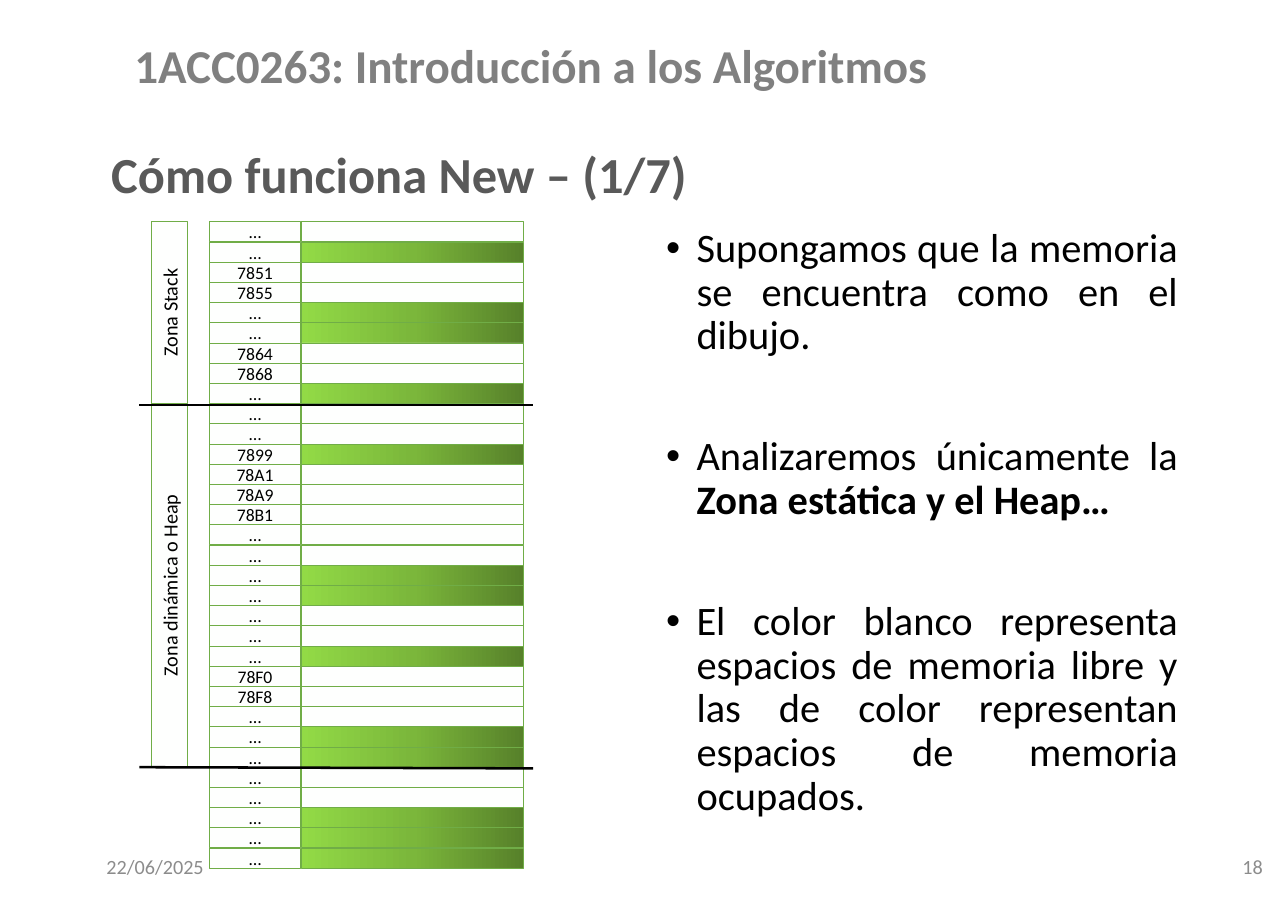
from copy import deepcopy

from pptx import Presentation
from pptx.dml.color import RGBColor
from pptx.enum.shapes import MSO_CONNECTOR, MSO_SHAPE
from pptx.enum.text import MSO_ANCHOR, PP_ALIGN
from pptx.oxml.ns import qn
from pptx.oxml.xmlchemy import OxmlElement
from pptx.util import Inches, Pt

RECTANGLE = MSO_SHAPE.RECTANGLE
STRAIGHT = MSO_CONNECTOR.STRAIGHT
TOP, MIDDLE = MSO_ANCHOR.TOP, MSO_ANCHOR.MIDDLE
LEFT, CENTER, RIGHT, JUSTIFY = (
    PP_ALIGN.LEFT, PP_ALIGN.CENTER, PP_ALIGN.RIGHT, PP_ALIGN.JUSTIFY)

FONT = "Calibri"
BLACK = RGBColor(0x00, 0x00, 0x00)
FREE = RGBColor(0xFE, 0xFF, 0xFE)
BORDER = RGBColor(0x70, 0xAD, 0x47)
HEADER_GRAY = RGBColor(0x80, 0x80, 0x80)
TITLE_GRAY = RGBColor(0x59, 0x59, 0x59)
FOOTER_GRAY = RGBColor(0x8C, 0x8C, 0x8C)
USED_STOPS = [
    (0, RGBColor(0x57, 0x81, 0x2A)),
    (0.5, RGBColor(0x7B, 0xB7, 0x3B)),
    (1, RGBColor(0x92, 0xDA, 0x46)),
]

# Memory map: 32 rows, six to the inch
MAP_TOP = 1.83
ROW_HEIGHT = 1 / 6
ROW_COUNT = 32
ADDRESSES = {2: "7851", 3: "7855", 6: "7864", 7: "7868", 11: "7899",
             12: "78A1", 13: "78A9", 14: "78B1", 22: "78F0", 23: "78F8"}
USED_ROWS = {1, 4, 5, 8, 11, 17, 18, 21, 25, 26, 29, 30, 31}
ZONES = [("Zona Stack", 0, 9), ("Zona dinámica o Heap", 9, 18)]
DIVIDERS = [(3.34, 3.34), (6.33, 6.34)]

# Each point is a list of (text, bold) spans
POINTS = [
    [("Supongamos que la memoria se encuentra como en el dibujo.", False)],
    [("Analizaremos únicamente la ", False),
     ("Zona estática y el Heap…", True)],
    [("El color blanco representa espacios de memoria libre y las de color "
      "representan espacios de memoria ocupados.", False)],
]


def style_span(span, size, color, bold=False):
    span.font.name = FONT
    span.font.size = Pt(size)
    span.font.color.rgb = color
    span.font.bold = bold


def add_text(page, text, left, top, width, height, size, color,
             align=LEFT, anchor=MIDDLE, bold=False):
    box = page.shapes.add_textbox(
        Inches(left), Inches(top), Inches(width), Inches(height))
    frame = box.text_frame
    frame.word_wrap = True
    frame.vertical_anchor = anchor
    frame.text = text
    para = frame.paragraphs[0]
    para.alignment = align
    style_span(para.runs[0], size, color, bold)
    return para


def add_cell(page, left, top, width, height, text="", size=10.5):
    cell = page.shapes.add_shape(
        RECTANGLE, Inches(left), Inches(top), Inches(width), Inches(height))
    cell.shadow.inherit = False
    cell.fill.solid()
    cell.fill.fore_color.rgb = FREE
    cell.line.color.rgb = BORDER
    cell.line.width = Pt(0.5)
    if text:
        frame = cell.text_frame
        frame.margin_left = frame.margin_right = 0
        frame.margin_top = frame.margin_bottom = 0
        frame.vertical_anchor = MIDDLE
        frame.text = text
        para = frame.paragraphs[0]
        para.alignment = CENTER
        style_span(para.runs[0], size, BLACK)
    return cell


def fill_used(cell):
    cell.fill.gradient()
    cell.fill.gradient_angle = 180
    # The default gradient has two stops; add the third
    stop_list = cell.element.spPr.find(".//" + qn("a:gsLst"))
    stop_list.append(deepcopy(stop_list[0]))
    for stop, (position, color) in zip(cell.fill.gradient_stops, USED_STOPS):
        stop.position = position
        stop.color.rgb = color


def add_zone(page, name, first_row, rows):
    zone = add_cell(page, 1.25, MAP_TOP + first_row * ROW_HEIGHT,
                    0.3, rows * ROW_HEIGHT, name, 12)
    zone.text_frame._txBody.bodyPr.set("vert", "vert270")


def add_divider(page, start, end):
    line = page.shapes.add_connector(
        STRAIGHT, Inches(1.15), Inches(start), Inches(4.4), Inches(end))
    line.line.color.rgb = BLACK
    line.line.width = Pt(1.5)
    line.element.spPr.append(OxmlElement("a:effectLst"))


def add_memory_map(page):
    for row in range(ROW_COUNT):
        top = MAP_TOP + row * ROW_HEIGHT
        content = add_cell(page, 2.49, top, 1.83, ROW_HEIGHT)
        if row in USED_ROWS:
            fill_used(content)
        add_cell(page, 1.73, top, 0.75, ROW_HEIGHT, ADDRESSES.get(row, "…"))
    for zone in ZONES:
        add_zone(page, *zone)
    for divider in DIVIDERS:
        add_divider(page, *divider)


def add_bullet(para):
    properties = para._p.get_or_add_pPr()
    properties.set("marL", str(Inches(0.25)))
    properties.set("indent", str(Inches(-0.25)))
    font = OxmlElement("a:buFont")
    font.set("typeface", "Arial")
    bullet = OxmlElement("a:buChar")
    bullet.set("char", "•")
    properties.extend([font, bullet])


def add_points(page):
    box = page.shapes.add_textbox(
        Inches(5.4), Inches(1.83), Inches(4.42), Inches(5.41))
    frame = box.text_frame
    frame.word_wrap = True
    for index, spans in enumerate(POINTS):
        para = frame.add_paragraph() if index else frame.paragraphs[0]
        para.alignment = JUSTIFY
        para.line_spacing = 0.9
        para.space_before = Pt(46 if index else 0)
        add_bullet(para)
        for text, bold in spans:
            span = para.add_run()
            span.text = text
            style_span(span, 24, BLACK, bold)


def main():
    deck = Presentation()
    deck.slide_width = Inches(10.63)
    deck.slide_height = Inches(7.5)
    page = deck.slides.add_slide(deck.slide_layouts[6])

    # Headings
    add_text(page, "1ACC0263: Introducción a los Algoritmos",
             0.56, 0.11, 7.64, 0.85, 28, HEADER_GRAY, CENTER, bold=True)
    title = add_text(page, "Cómo funciona New – (1/7)",
                     0.82, 1.19, 9, 1.17, 30, TITLE_GRAY, anchor=TOP, bold=True)
    title.line_spacing = 0.9

    # Content
    add_points(page)
    add_memory_map(page)

    # Footer
    add_text(page, "22/06/2025", 0.78, 6.95, 2.54, 0.4, 12, FOOTER_GRAY)
    add_text(page, "18", 7.98, 6.95, 2.54, 0.4, 12, FOOTER_GRAY, RIGHT)

    deck.save("out.pptx")


if __name__ == "__main__":
    main()
